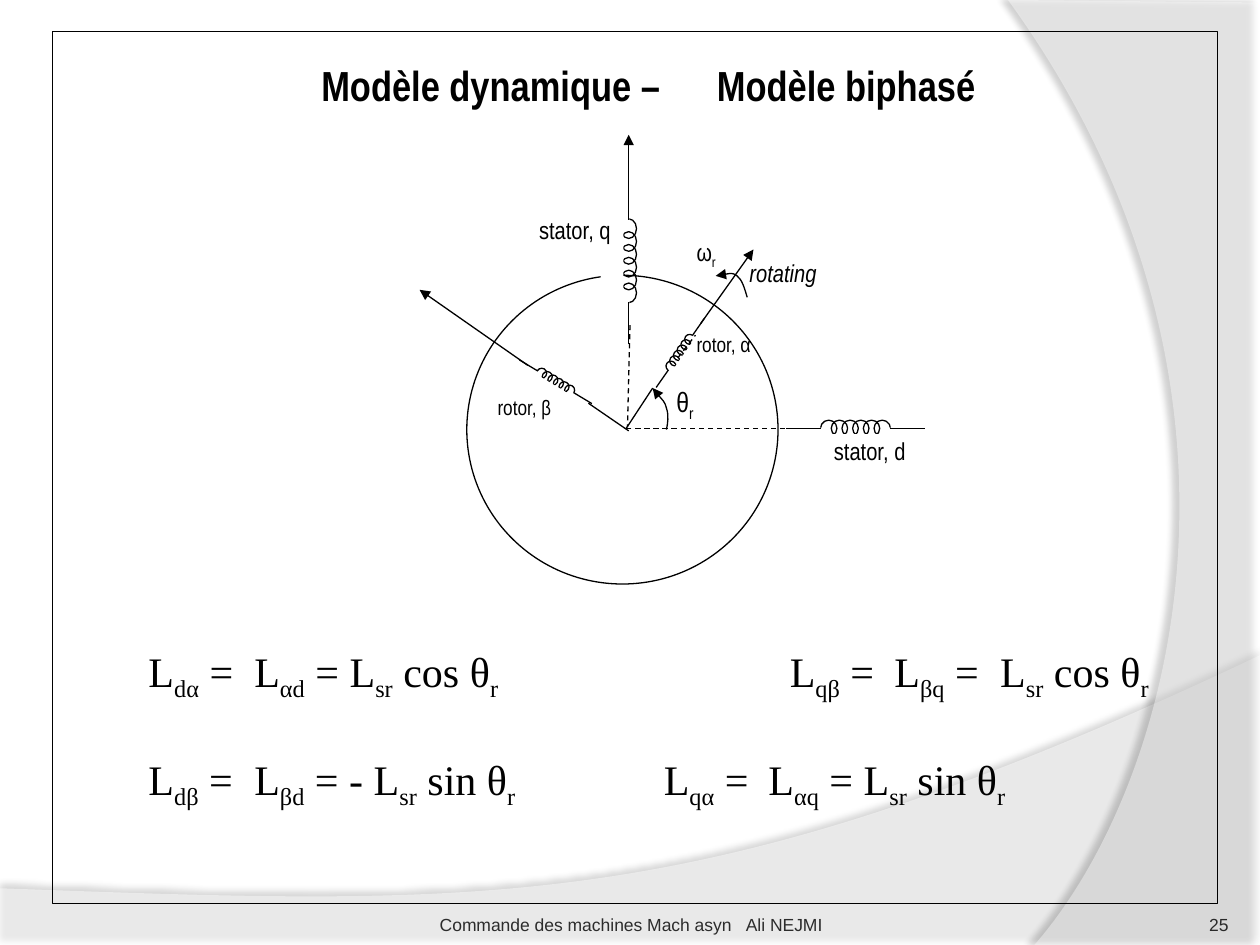
import math
from dataclasses import dataclass

import lxml.etree
import pptx
import pptx.dml.color
import pptx.enum.dml
import pptx.enum.shapes
import pptx.enum.text
import pptx.oxml.ns
import pptx.util

Inches = pptx.util.Inches
Pt = pptx.util.Pt
qn = pptx.oxml.ns.qn
SHAPE = pptx.enum.shapes.MSO_SHAPE
ALIGN = pptx.enum.text.PP_ALIGN
ANCHOR = pptx.enum.text.MSO_ANCHOR


@dataclass(frozen=True)
class Theme:
    ink: str = "000000"
    paper: str = "FFFFFF"
    number: str = "292929"
    footer: str = "2C2C2C"
    narrow: str = "Arial Narrow"
    serif: str = "Times New Roman"
    sans: str = "Arial"
    large: int = 24
    angle: int = 16
    label: int = 14
    small: int = 12
    foot: int = 10
    line: float = 0.75


T = Theme()


def rgb(value):
    return pptx.dml.color.RGBColor.from_string(value)


def sub(parent, tag, **attrs):
    return lxml.etree.SubElement(parent, qn(tag), {k: str(v) for k, v in attrs.items()})


def draw_line(line, arrow=False):
    line.color.rgb = rgb(T.ink)
    line.width = Pt(T.line)
    if arrow:
        sub(line._get_or_add_ln(), "a:tailEnd", type="triangle")


def style(sp, fill=None, outline=True, arrow=False):
    sp.shadow.inherit = False
    if fill:
        sp.fill.solid()
        sp.fill.fore_color.rgb = rgb(fill)
    else:
        sp.fill.background()
    if outline:
        draw_line(sp.line, arrow)
    else:
        sp.line.fill.background()


def add_shape(shapes, kind, x, y, w, h, angle=0, **look):
    sp = shapes.add_shape(kind, Inches(x - w / 2), Inches(y - h / 2), Inches(w), Inches(h))
    sp.rotation = angle
    style(sp, **look)


def add_line(shapes, x1, y1, x2, y2, arrow=False, dashed=False):
    c = shapes.add_connector(pptx.enum.shapes.MSO_CONNECTOR.STRAIGHT,
                             Inches(x1), Inches(y1), Inches(x2), Inches(y2))
    draw_line(c.line, arrow)
    if dashed:
        c.line.dash_style = pptx.enum.dml.MSO_LINE.DASH
    sub(c._element.spPr, "a:effectLst")


def add_outline(shapes, corners, curve, close=False):
    pts = [(Inches(x), Inches(y)) for x, y in corners + curve]
    fb = shapes.build_freeform(*pts[0])
    fb.add_line_segments(pts[1:], close=close)
    sp = fb.convert_to_shape()
    outline = sp._element.spPr.find(".//" + qn("a:path"))
    segments = outline.findall(qn("a:lnTo"))[len(corners) - 1:]
    for first in range(0, len(curve), 3):
        bend = lxml.etree.Element(qn("a:cubicBezTo"))
        segments[first].addprevious(bend)
        for segment in segments[first:first + 3]:
            bend.append(segment[0])
            outline.remove(segment)
    if sp.left + sp.width > Inches(10):
        sp.width = Inches(10) - sp.left
        outline.set("w", str(sp.width))
    return sp


def add_arc_arrow(shapes, start, curve):
    style(add_outline(shapes, [start], curve), arrow=True)


def add_wave(shapes, corners, curve, opacity, shade, distance, direction):
    sp = add_outline(shapes, corners, curve, close=True)
    style(sp, fill=T.paper, outline=False)
    spPr = sp._element.spPr
    sub(spPr.find(qn("a:solidFill"))[0], "a:alpha", val=opacity * 1000)
    shadow = sub(spPr.find(qn("a:effectLst")), "a:outerShdw", blurRad=Pt(4), dist=Pt(distance),
                 dir=direction * 60000, algn="ctr", rotWithShape=0)
    sub(sub(shadow, "a:srgbClr", val=T.ink), "a:alpha", val=shade * 1000)


def add_text(shapes, x, y, w, h, lines, size, font=T.narrow, color=T.ink, bold=False,
             italic=False, align=ALIGN.LEFT, anchor=ANCHOR.TOP, wrap=True,
             margins=(0.1, 0.05, 0.1, 0.05), tabs=(), gap=0):
    tf = shapes.add_textbox(Inches(x), Inches(y), Inches(w), Inches(h)).text_frame
    tf.word_wrap = wrap
    tf.vertical_anchor = anchor
    tf.margin_left, tf.margin_top, tf.margin_right, tf.margin_bottom = map(Inches, margins)
    for i, line in enumerate(lines):
        p = tf.add_paragraph() if i else tf.paragraphs[0]
        p.alignment = align
        if i:
            p.space_before = Pt(gap)
        if tabs:
            stops = sub(p._p.get_or_add_pPr(), "a:tabLst")
            for stop in tabs[i]:
                sub(stops, "a:tab", pos=Inches(stop), algn="l")
        for j, part in enumerate(line.replace("}", "{").split("{")):
            if not part:
                continue
            r = p.add_run()
            r.text = part
            r.font.size, r.font.name = Pt(size), font
            r.font.bold, r.font.italic = bold, italic
            r.font.color.rgb = rgb(color)
            if j % 2:
                r._r.get_or_add_rPr().set("baseline", "-25000")


def add_coil(shapes, x, y, angle, length=1.0, depth=1.0):
    cos, sin = math.cos(math.radians(angle)), math.sin(math.radians(angle))

    def place(u, v=0):
        u, v = u * length, v * depth
        return x + u * cos - v * sin, y + u * sin + v * cos

    def part(kind, u, v, w, h, **look):
        add_shape(shapes, kind, *place(u, v), w * length, h * depth, angle, **look)

    for i in range(6):
        part(SHAPE.OVAL, (i - 2.5) * 0.085, 0, 0.13, 0.13)
    for u, v, w, h in ((0, 0.14, 0.58, 0.19), (-0.285, 0.06, 0.12, 0.13), (0.285, 0.06, 0.12, 0.13)):
        part(SHAPE.RECTANGLE, u, v, w, h, fill=T.paper, outline=False)
    for side in (-1, 1):
        add_line(shapes, *place(side * 0.55), *place(side * 0.27))


def add_diagram(shapes):
    add_shape(shapes, SHAPE.OVAL, 4.94, 3.41, 2.47, 2.45, fill=T.paper)
    add_coil(shapes, 6.79, 3.4, 0)
    add_coil(shapes, 4.99, 2.07, 90, 1.2, 0.95)
    add_coil(shapes, 5.4, 2.8, 304.9, 0.61, 0.62)
    add_coil(shapes, 4.41, 3.03, 31.1, 0.61, 0.62)

    for ends in ((5.18, 3.08, 4.97, 3.4), (4.67, 3.2, 4.99, 3.42)):
        add_line(shapes, *ends)
    for ends in ((6.23, 3.4, 4.95, 3.4), (5, 2.58, 4.98, 3.39), (5.38, 2.84, 5.52, 2.66)):
        add_line(shapes, *ends, dashed=True)
    for ends in ((4.99, 1.54, 4.99, 1.07), (5.56, 2.57, 5.98, 1.98), (4.19, 2.9, 3.33, 2.3)):
        add_line(shapes, *ends, arrow=True)
    add_arc_arrow(shapes, (5.29, 3.41), [(5.3, 3.36), (5.31, 3.3), (5.29, 3.24),
                                         (5.28, 3.19), (5.2, 3.11), (5.18, 3.08)])
    add_arc_arrow(shapes, (5.93, 2.36), [(5.91, 2.29), (5.89, 2.22), (5.85, 2.19),
                                         (5.81, 2.16), (5.75, 2.18), (5.68, 2.19)])

    add_text(shapes, 5.27, 3, 0.52, 0.31, ["θ{r}"], T.angle)
    add_text(shapes, 4.18, 1.66, 0.92, 0.33, ["stator, q"], T.label)
    add_text(shapes, 6.52, 3.41, 1.04, 0.49, ["stator, d"], T.label)
    add_text(shapes, 3.85, 3.08, 0.89, 0.49, ["rotor, β"], T.small)
    add_text(shapes, 5.43, 2.58, 1.17, 0.49, ["rotor, α"], T.small)
    add_text(shapes, 5.85, 2, 0.73, 0.33, ["rotating"], T.label, italic=True, wrap=False)
    add_text(shapes, 5.43, 1.83, 0.37, 0.33, ["ω{r}"], T.label, wrap=False)


def main():
    prs = pptx.Presentation()
    prs.slide_width, prs.slide_height = Inches(10), Inches(7.5)
    s = prs.slides.add_slide(prs.slide_layouts[6])
    shapes = s.shapes

    add_wave(shapes, [(0, 7.05), (0, 7.51), (10, 7.51), (10, 5.2)],
             [(5.59, 7.29), (3.91, 7.19), (0, 7.05)], 45, 35, 3.5, 270)
    add_wave(shapes, [(10, 0.02), (10, 7.5), (8.21, 7.5)],
             [(9.35, 6.19), (10.18, 3), (8, 0)], 40, 45, 4, 180)
    add_shape(shapes, SHAPE.RECTANGLE, 5.04, 3.71, 9.25, 6.92)

    add_text(shapes, 1.08, 4.68, 8.42, 2.1,
             ["L{dα} =\tL{αd} = L{sr} cos θ{r}\tL{qβ} =\tL{βq} =\tL{sr} cos θ{r}",
              "L{dβ} =\tL{βd} = - L{sr} sin θ{r}\tL{qα} =\tL{αq} = L{sr} sin θ{r}"],
             T.large, T.serif, margins=(0.1, 0.44, 0, 0.05), gap=29,
             tabs=((0.84, 5.09, 5.92, 6.76), (0.84, 4.09, 4.92)))
    add_text(shapes, 1.83, 0.42, 6.58, 0.83, ["Modèle dynamique –\tModèle biphasé"], T.large,
             bold=True, margins=(0.72, 0.05, 0.1, 0.05), tabs=((3.14,),))
    add_diagram(shapes.add_group_shape().shapes)
    add_text(shapes, 8.92, 7.02, 0.83, 0.4, ["25"], T.foot, T.sans, T.number,
             align=ALIGN.RIGHT, anchor=ANCHOR.BOTTOM, margins=(0, 0, 0, 0))
    add_text(shapes, 3.42, 7.02, 3.17, 0.4, ["Commande des machines Mach asyn\tAli NEJMI"],
             T.foot, T.sans, T.footer, anchor=ANCHOR.BOTTOM,
             margins=(0.07, 0.05, 0, 0), tabs=((2.43,),))
    prs.save("out.pptx")


if __name__ == "__main__":
    main()
